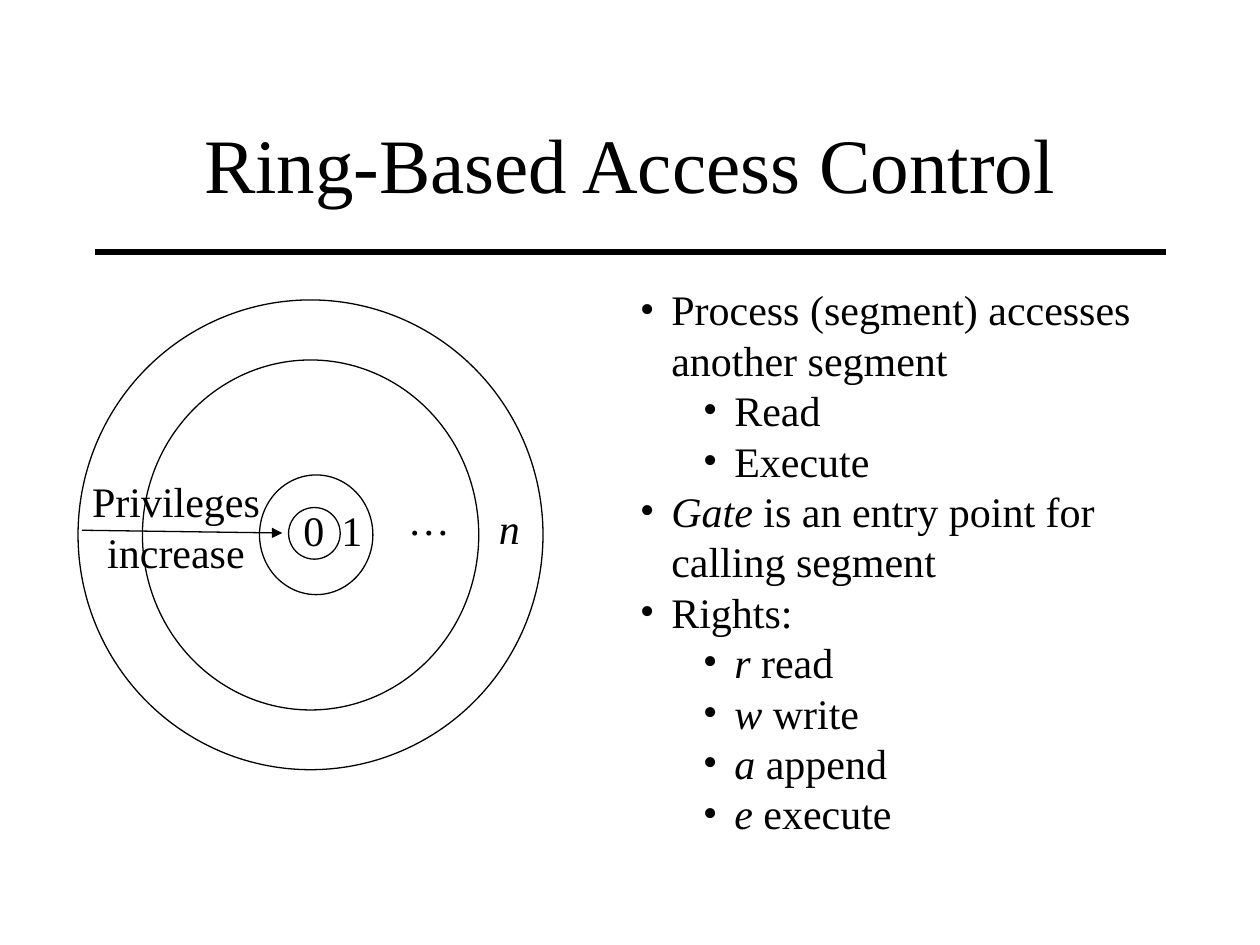
"""Build the slide on ring-based access control."""
from dataclasses import dataclass

from lxml.etree import SubElement
from pptx import Presentation
from pptx.dml.color import RGBColor
from pptx.enum.shapes import MSO_CONNECTOR as Connector, MSO_SHAPE as Shape
from pptx.enum.text import MSO_ANCHOR as Anchor, MSO_AUTO_SIZE as AutoSize, PP_ALIGN as Align
from pptx.oxml.ns import qn
from pptx.util import Pt


@dataclass(frozen=True)
class Theme:
    """Colours, type and line sizes in points."""
    ink: RGBColor = RGBColor(0, 0, 0)
    paper: RGBColor = RGBColor(255, 255, 255)
    font: str = "Times New Roman"
    title_size: float = 44
    text_size: float = 24
    line_pitch: float = 28.8
    thin: float = 0.75
    thick: float = 3


class RingSlide:
    """Hold the theme and the slide, and add elements to it."""

    def __init__(self, deck, theme):
        """Start a title and content slide."""
        self.theme = theme
        self.slide = deck.slides.add_slide(deck.slide_layouts[1])
        self.slide.background.fill.solid()
        self.slide.background.fill.fore_color.rgb = theme.paper

    def place(self, holder, left, top, width, height):
        """Move and size a placeholder."""
        holder.left, holder.top = Pt(left), Pt(top)
        holder.width, holder.height = Pt(width), Pt(height)

    def style(self, paragraph, size, italic=False):
        """Format all runs of a paragraph."""
        for run in paragraph.runs:
            run.font.name, run.font.size = self.theme.font, Pt(size)
            run.font.color.rgb, run.font.italic = self.theme.ink, italic

    def title(self, wording, *box):
        """Fill the title placeholder."""
        heading = self.slide.shapes.title
        self.place(heading, *box)
        heading.text_frame.text = wording
        heading.text_frame.vertical_anchor = Anchor.MIDDLE
        self.style(heading.text_frame.paragraphs[0], self.theme.title_size)

    def bullets(self, points, *box):
        """Fill the body with (level, italic part, plain part) points."""
        body = self.slide.placeholders[1]
        self.place(body, *box)
        frame = body.text_frame
        frame.auto_size, frame.vertical_anchor = AutoSize.NONE, Anchor.TOP
        frame.text = "\n".join(term + rest for _, term, rest in points)
        for paragraph, (level, term, rest) in zip(frame.paragraphs, points):
            paragraph.level = level
            paragraph.space_before = paragraph.space_after = Pt(0)
            paragraph.line_spacing = Pt(self.theme.line_pitch)
            if term:
                paragraph.runs[0].text = term
                paragraph.add_run().text = rest
            self.style(paragraph, self.theme.text_size)
            paragraph.runs[0].font.italic = bool(term)
            self.bullet(paragraph, 18 + 36 * level)

    def bullet(self, paragraph, indent):
        """Give a paragraph a hanging round bullet."""
        props = paragraph._p.get_or_add_pPr()
        props.set("marL", str(Pt(indent)))
        props.set("indent", str(-Pt(18)))
        colour = SubElement(props, qn("a:buClr"))
        SubElement(colour, qn("a:srgbClr"), val=str(self.theme.ink))
        SubElement(props, qn("a:buFont"), typeface=self.theme.font)
        SubElement(props, qn("a:buChar"), char="•")

    def ring(self, *box):
        """Draw an unfilled ring."""
        ring = self.slide.shapes.add_shape(Shape.OVAL, *map(Pt, box))
        ring.shadow.inherit = False
        ring.fill.background()
        ring.line.color.rgb, ring.line.width = self.theme.ink, Pt(self.theme.thin)

    def line(self, *ends, width, arrow=False):
        """Draw a straight line, with an arrowhead if asked."""
        line = self.slide.shapes.add_connector(Connector.STRAIGHT, *map(Pt, ends))
        line.line.color.rgb, line.line.width = self.theme.ink, Pt(width)
        props = line._element.spPr
        if arrow:
            SubElement(props.get_or_add_ln(), qn("a:tailEnd"), type="triangle")
        SubElement(props, qn("a:effectLst"))

    def label(self, wording, *box, italic=False, align=Align.LEFT, wrap=False):
        """Add a text label."""
        frame = self.slide.shapes.add_textbox(*map(Pt, box)).text_frame
        frame.word_wrap, frame.auto_size = wrap, AutoSize.SHAPE_TO_FIT_TEXT
        frame.text = wording
        for paragraph in frame.paragraphs:
            paragraph.alignment = align
            paragraph.line_spacing = Pt(self.theme.line_pitch)
            self.style(paragraph, self.theme.text_size, italic)


def main():
    """Build and save the deck."""
    deck = Presentation()
    deck.slide_width, deck.slide_height = Pt(720), Pt(540)
    theme = Theme()
    page = RingSlide(deck, theme)

    page.line(54, 144, 666, 144, width=theme.thick)
    page.title("Ring-Based Access Control", 54, 48, 612, 90)

    for ring in ((164.9, 290, 29.5, 29.5), (148.3, 271.4, 64.8, 68.4),
                 (81.4, 205.7, 192.2, 200), (44.6, 171.4, 265.7, 268.4)):
        page.ring(*ring)
    page.line(46.8, 303, 161.3, 304.6, width=theme.thin, arrow=True)

    page.label("Privileges\nincrease", 42.6, 268.4, 116, 64.8, align=Align.CENTER)
    page.label("0", 166.3, 285, 26, 36)
    page.label("1", 188, 285, 26, 36)
    page.label("…", 226, 278.6, 14.4, 36, wrap=True)
    page.label("n", 278, 283.9, 26, 36, italic=True)

    page.bullets((
        (0, "", "Process (segment) accesses another segment"),
        (1, "", "Read"),
        (1, "", "Execute"),
        (0, "Gate", " is an entry point for calling segment"),
        (0, "", "Rights:"),
        (1, "r", " read"),
        (1, "w", " write"),
        (1, "a ", "append"),
        (1, "e", " execute"),
    ), 358.4, 158.6, 295.2, 324)
    deck.save("out.pptx")


if __name__ == "__main__":
    main()
